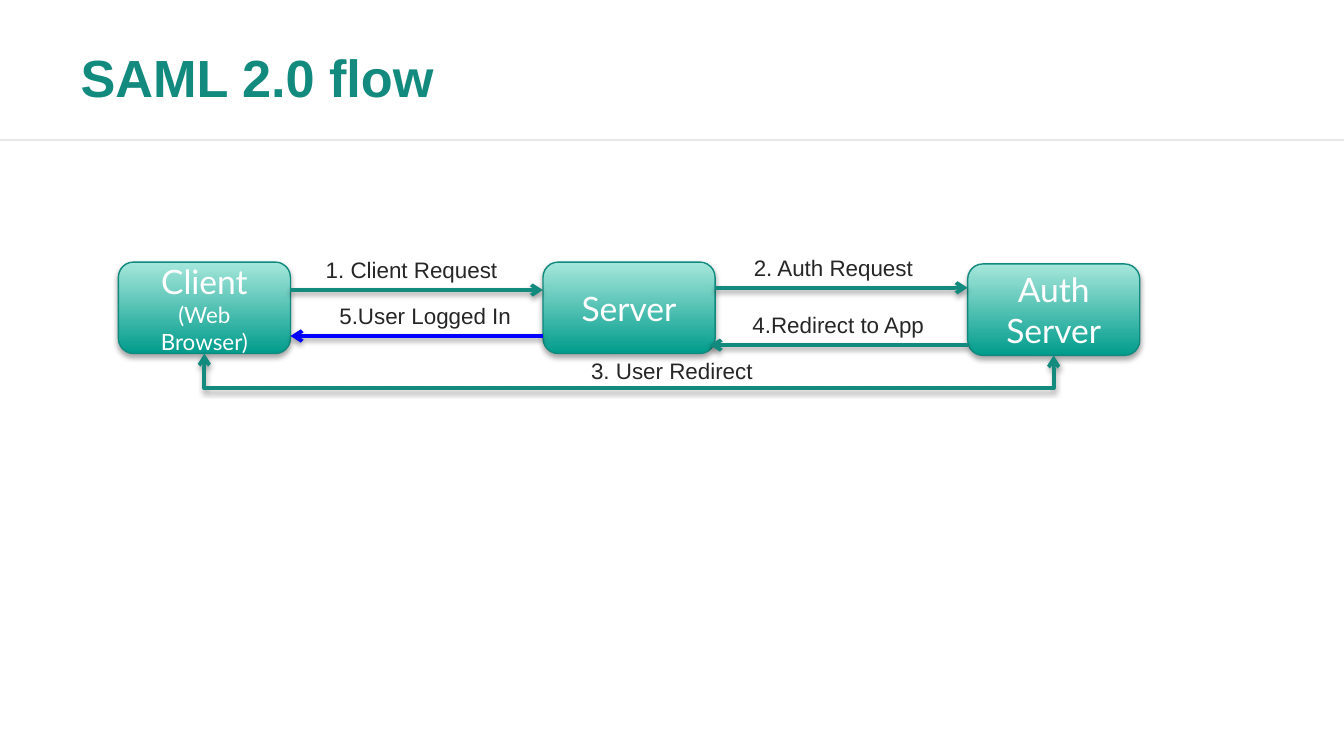
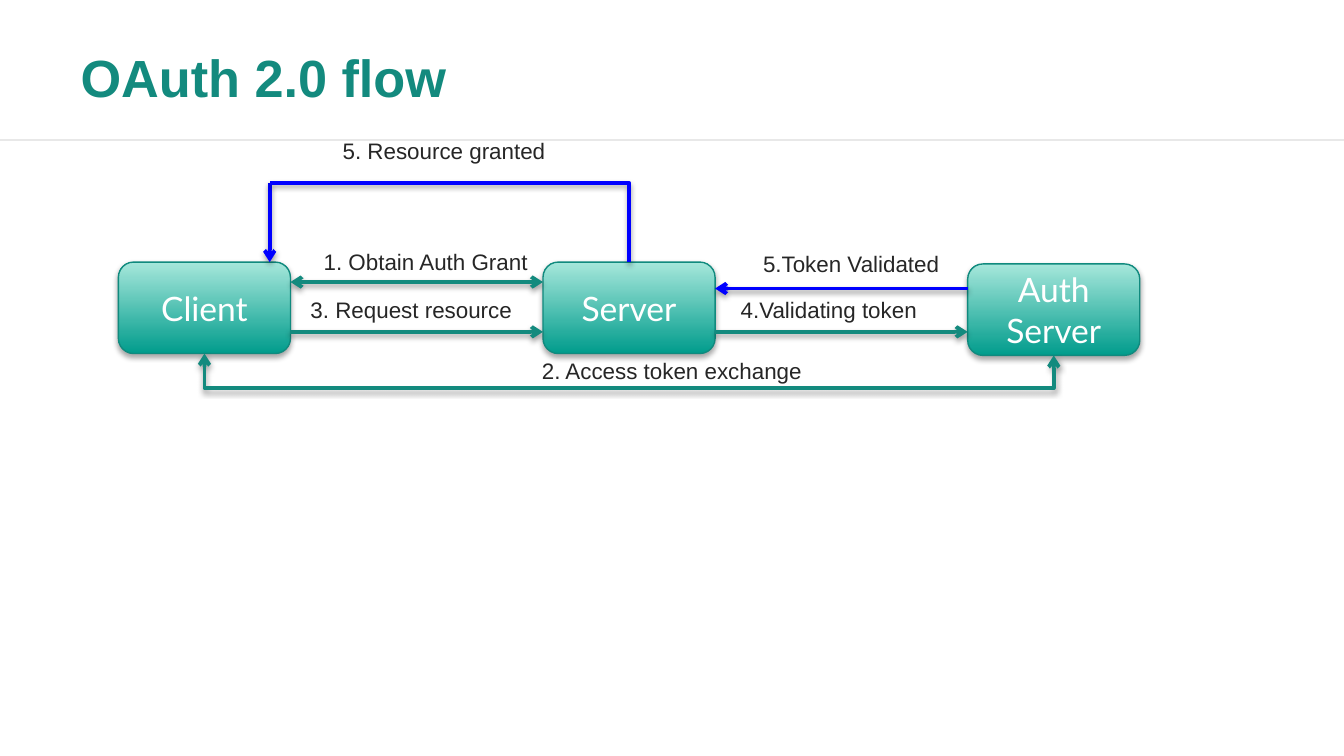
import pptx
import pptx.util
import pptx.dml.color
import pptx.enum.shapes
import pptx.enum.text
import pptx.oxml
import pptx.oxml.ns

Pt = pptx.util.Pt
qn = pptx.oxml.ns.qn
ALIGN = pptx.enum.text.PP_ALIGN
ANCHOR = pptx.enum.text.MSO_ANCHOR
FIT = pptx.enum.text.MSO_AUTO_SIZE
CONNECTOR = pptx.enum.shapes.MSO_CONNECTOR

# Shared palette and grid, in points
TEAL, BLUE, EDGE = "138A7E", "0000FF", "108A7E"
DEEP, PALE, INK, RULE, WHITE = "019C8C", "A6E7DB", "262626", "E8E8E8", "FFFFFF"
SLIDE_W, SLIDE_H = 720, 405
BOX_W, BOX_H = 92.2, 49
CLIENT_X, SERVER_X, AUTH_X = (63.4 + 227.5 * step for step in range(3))
CLIENT_END, SERVER_END = CLIENT_X + BOX_W, SERVER_X + BOX_W
BOX_Y, AUTH_Y = 140.4, 141.4
CLIENT_FOOT = (CLIENT_X + BOX_W / 2, BOX_Y + BOX_H)
AUTH_FOOT = (AUTH_X + BOX_W / 2, AUTH_Y + BOX_H)
LOOP_Y = 208


def rgb(code):
    return pptx.dml.color.RGBColor.from_string(code)


def write(paragraph, text, *, size=12, font="Arial", color=INK, bold=False, align=ALIGN.CENTER):
    paragraph.alignment = align
    run = paragraph.add_run()
    run.text = text
    run.font.size, run.font.name, run.font.bold = Pt(size), font, bold
    run.font.color.rgb = rgb(color)


def cast_shadow(shape, opacity, distance):
    """Replace the theme shadow with a soft one falling straight down."""
    ns = pptx.oxml.ns.nsdecls("a")
    shape._element.spPr.append(pptx.oxml.parse_xml(
        f'<a:effectLst {ns}><a:outerShdw blurRad="{Pt(3.1)}" dist="{Pt(distance)}" dir="5400000" '
        f'rotWithShape="0"><a:srgbClr val="000000"><a:alpha val="{opacity * 1000}"/>'
        '</a:srgbClr></a:outerShdw></a:effectLst>'))


class FlowDeck:
    def __init__(self):
        self.deck = pptx.Presentation()
        self.deck.slide_width, self.deck.slide_height = Pt(SLIDE_W), Pt(SLIDE_H)
        self.slide = None

    def start_slide(self, heading):
        self.slide = self.deck.slides.add_slide(self.deck.slide_layouts[5])
        self.slide.background.fill.solid()
        self.slide.background.fill.fore_color.rgb = rgb(WHITE)
        rule = self.connect(CONNECTOR.STRAIGHT, (0, 75), (SLIDE_W, 75), RULE, 0.75)
        pptx.oxml.ns  # namespace helpers are shared by every line
        rule._element.spPr.get_or_add_ln()
        rule._element.spPr.append(pptx.oxml.parse_xml(
            f'<a:effectLst {pptx.oxml.ns.nsdecls("a")}/>'))
        title = self.slide.shapes.title
        title.left, title.top, title.width, title.height = Pt(36), Pt(26.6), Pt(525), Pt(28.8)
        title.text_frame.vertical_anchor = ANCHOR.MIDDLE
        title.text_frame.auto_size = FIT.NONE
        write(title.text_frame.paragraphs[0], heading, size=28, color=TEAL, bold=True,
              align=ALIGN.LEFT)

    def party(self, x, y, name, detail=None):
        box = self.slide.shapes.add_shape(
            pptx.enum.shapes.MSO_SHAPE.ROUNDED_RECTANGLE, Pt(x), Pt(y), Pt(BOX_W), Pt(BOX_H))
        box.fill.gradient()
        box.fill.gradient_angle = 90
        for stop, position, color in zip(box.fill.gradient_stops, (0, 1), (DEEP, PALE)):
            stop.position, stop.color.rgb = position, rgb(color)
        box.line.color.rgb, box.line.width = rgb(EDGE), Pt(0.75)
        cast_shadow(box, 35, 1.8)
        frame = box.text_frame
        frame.word_wrap, frame.vertical_anchor = True, ANCHOR.MIDDLE
        write(frame.paragraphs[0], name, size=18, font="Lato", color=WHITE)
        if detail:
            write(frame.add_paragraph(), detail, font="Lato", color=WHITE)

    def parties(self, client_detail=None):
        self.party(CLIENT_X, BOX_Y, "Client", client_detail)
        self.party(SERVER_X, BOX_Y, "Server")
        self.party(AUTH_X, AUTH_Y, "Auth Server")

    def connect(self, kind, start, end, color, width=2.0, ends=()):
        line = self.slide.shapes.add_connector(kind, *map(Pt, (*start, *end)))
        line.line.color.rgb, line.line.width = rgb(color), Pt(width)
        for tip in ends:
            tip_element = pptx.oxml.parse_xml(
                f'<a:{tip} {pptx.oxml.ns.nsdecls("a")} type="arrow"/>')
            line._element.spPr.get_or_add_ln().append(tip_element)
        return line

    def arrow(self, x1, x2, y, y2=None, color=TEAL, ends=("tailEnd",)):
        end = (x2, y if y2 is None else y2)
        cast_shadow(self.connect(CONNECTOR.STRAIGHT, (x1, y), end, color, ends=ends), 38, 1.6)

    def elbow(self, start, end, preset, rotation, flip, color, ends=()):
        """Route an elbow that leaves vertically: its frame is turned by a quarter."""
        mid_x, mid_y = ((a + b) / 2 for a, b in zip(start, end))
        half_h, half_w = (abs(a - b) / 2 for a, b in zip(start, end))
        line = self.connect(CONNECTOR.ELBOW, (mid_x - half_w, mid_y - half_h),
                            (mid_x + half_w, mid_y + half_h), color, ends=ends)
        frame = line._element.spPr.find(qn("a:xfrm"))
        frame.set("rot", str(rotation * 60000))
        frame.set(flip, "1")
        outline = line._element.spPr.find(qn("a:prstGeom"))
        outline.set("prst", preset)
        cast_shadow(line, 38, 1.6)
        return outline

    def loop(self, start, end):
        """Two-way link that runs below the boxes."""
        outline = self.elbow(start, end, "bentConnector3", 270 if end[0] > start[0] else 90,
                             "flipH", TEAL, ("headEnd", "tailEnd"))
        bend = round((LOOP_Y - start[1]) / (end[1] - start[1]) * 100000)
        guide = outline.find(qn("a:avLst")).makeelement(
            qn("a:gd"), {"name": "adj1", "fmla": f"val {bend}"})
        outline.find(qn("a:avLst")).append(guide)

    def label(self, x, y, width, text, height=21.8, wrap=False, align=ALIGN.CENTER):
        frame = self.slide.shapes.add_textbox(Pt(x), Pt(y), Pt(width), Pt(height)).text_frame
        frame.word_wrap, frame.auto_size = wrap, FIT.SHAPE_TO_FIT_TEXT
        write(frame.paragraphs[0], text, align=align)


def saml_flow(flow):
    flow.start_slide("SAML 2.0 flow")
    flow.parties("(Web Browser)")
    # Requests and the redirect loop
    flow.arrow(CLIENT_END, SERVER_X, 155.4)
    flow.label(167, 133.5, 107, "1. Client Request")
    flow.arrow(SERVER_END, AUTH_X, 154.2)
    flow.loop(AUTH_FOOT, CLIENT_FOOT)
    flow.label(309, 188, 102, "3. User Redirect")
    # Way back to the client
    flow.arrow(AUTH_X, 380.2, 184.9)
    flow.label(396, 132.5, 101, "2. Auth Request")
    flow.label(396, 163, 109, "4.Redirect to App", height=44, wrap=True, align=ALIGN.LEFT)
    flow.arrow(SERVER_X, CLIENT_END, 180, color=BLUE)
    flow.label(174.3, 158.3, 107, "5.User Logged In")


def oauth_flow(flow):
    flow.start_slide("OAuth 2.0 flow")
    flow.parties()
    # Grant and token exchange
    flow.arrow(CLIENT_END, SERVER_X, 151.1, ends=("headEnd", "tailEnd"))
    flow.label(165.6, 129.5, 125, "1. Obtain Auth Grant")
    flow.loop(CLIENT_FOOT, AUTH_FOOT)
    flow.label(282, 188, 156, "2. Access token exchange")
    # Resource request and token validation
    flow.arrow(CLIENT_END, SERVER_X, 177.8)
    flow.label(158.4, 155, 124, "3. Request resource")
    flow.arrow(SERVER_END, AUTH_X, 177.8)
    flow.label(389, 155, 110, "4.Validating token")
    flow.arrow(AUTH_X, SERVER_END, 154.6, color=BLUE)
    flow.label(401, 130.5, 110, "5.Token Validated")
    # Grant returned over the top
    grant_x, grant_y = 144.5, 98
    flow.arrow(grant_x, grant_x, grant_y, BOX_Y, color=BLUE)
    flow.elbow((SERVER_X + BOX_W / 2, BOX_Y), (grant_x, grant_y), "bentConnector2", 270,
               "flipV", BLUE)
    flow.label(175.7, 70, 124.5, "5. Resource granted")


def main():
    flow = FlowDeck()
    saml_flow(flow)
    oauth_flow(flow)
    flow.deck.save("out.pptx")


if __name__ == "__main__":
    main()
